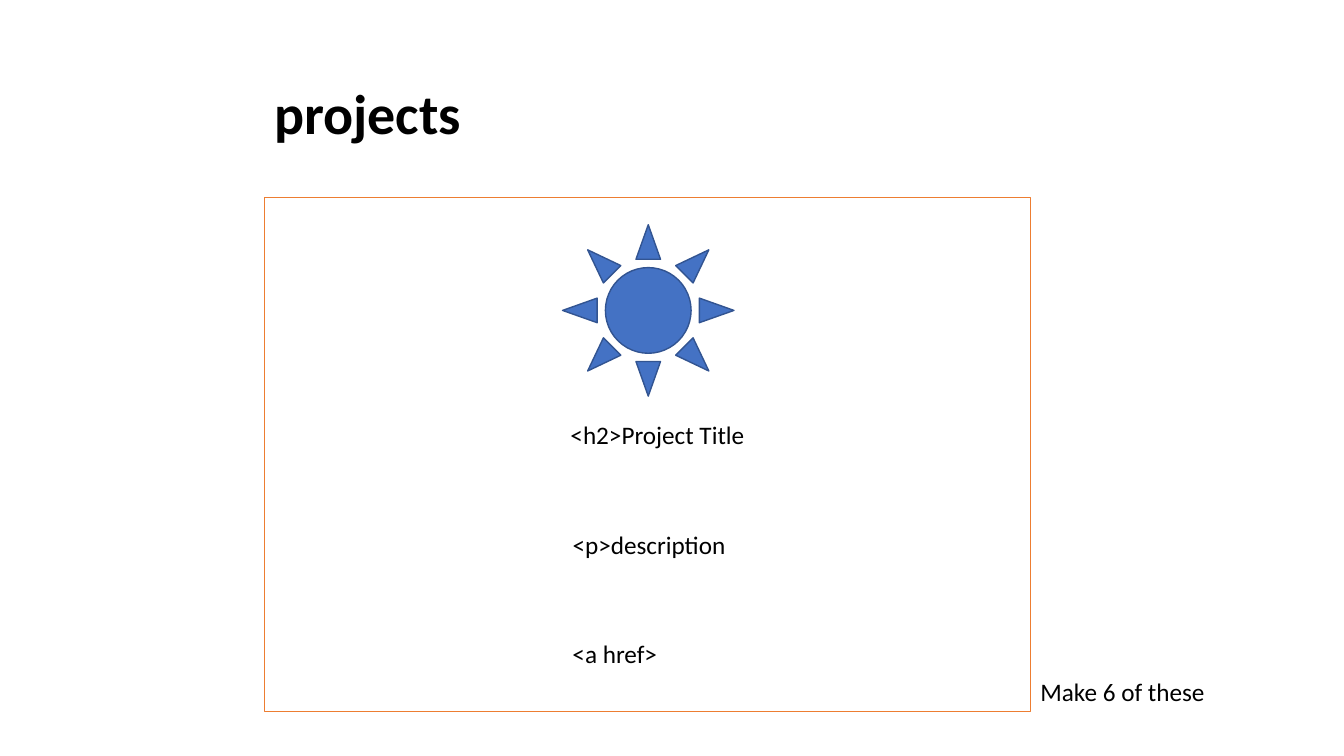
from dataclasses import dataclass
from typing import Optional

from pptx import Presentation
from pptx.dml.color import RGBColor
from pptx.enum.shapes import MSO_SHAPE
from pptx.enum.text import MSO_AUTO_SIZE
from pptx.slide import Slide
from pptx.util import Inches, Pt


@dataclass(frozen=True)
class Theme:
    """Font, type sizes and colours of the slide."""
    font: str = "Calibri"
    title: float = 40
    body: float = 18
    ink: str = "000000"
    frame: str = "ED7D31"
    sun: str = "4472C4"
    sun_line: str = "325491"


@dataclass(frozen=True)
class Box:
    """A rectangle in inches."""
    left: float
    top: float
    width: float
    height: float

    def lengths(self) -> tuple[Inches, Inches, Inches, Inches]:
        """Return the four sides as lengths."""
        return (Inches(self.left), Inches(self.top),
                Inches(self.width), Inches(self.height))


@dataclass(frozen=True)
class Label:
    """A line of text and its place."""
    text: str
    box: Box
    size: float
    bold: bool = False


@dataclass(frozen=True)
class Figure:
    """A preset shape with its fill and outline."""
    kind: MSO_SHAPE
    box: Box
    line: str
    weight: float
    fill: Optional[str] = None


THEME = Theme()

FIGURES = [
    Figure(MSO_SHAPE.RECTANGLE, Box(2.62, 1.96, 7.6, 5.1), THEME.frame, 0.75),
    Figure(MSO_SHAPE.SUN, Box(5.58, 2.23, 1.7, 1.7), THEME.sun_line, 1, THEME.sun),
]

LABELS = [
    Label("projects", Box(2.62, 0.73, 6.05, 0.77), THEME.title, True),
    Label("Make 6 of these", Box(10.22, 6.66, 1.88, 0.4), THEME.body),
    Label("<h2>Project Title", Box(5.56, 4.11, 6.23, 0.4), THEME.body),
    Label("<p>description", Box(5.58, 5.2, 4.11, 0.4), THEME.body),
    Label("<a href>", Box(5.58, 6.28, 1.96, 0.4), THEME.body),
]


def add_figure(s: Slide, figure: Figure) -> None:
    """Draw a preset shape."""
    sp = s.shapes.add_shape(figure.kind, *figure.box.lengths())
    sp.shadow.inherit = False
    if figure.fill:
        sp.fill.solid()
        sp.fill.fore_color.rgb = RGBColor.from_string(figure.fill)
    else:
        sp.fill.background()
    sp.line.color.rgb = RGBColor.from_string(figure.line)
    sp.line.width = Pt(figure.weight)


def add_label(s: Slide, label: Label) -> None:
    """Draw a wrapped text box that fits its text."""
    tf = s.shapes.add_textbox(*label.box.lengths()).text_frame
    tf.word_wrap = True
    tf.auto_size = MSO_AUTO_SIZE.SHAPE_TO_FIT_TEXT
    r = tf.paragraphs[0].add_run()
    r.text = label.text
    r.font.name = THEME.font
    r.font.size = Pt(label.size)
    r.font.bold = label.bold
    r.font.color.rgb = RGBColor.from_string(THEME.ink)


def main() -> None:
    """Build and save the slide."""
    prs = Presentation()
    prs.slide_width, prs.slide_height = Inches(13.33), Inches(7.5)
    s = prs.slides.add_slide(prs.slide_layouts[6])
    for figure in FIGURES:
        add_figure(s, figure)
    for label in LABELS:
        add_label(s, label)
    prs.save("out.pptx")


if __name__ == "__main__":
    main()
